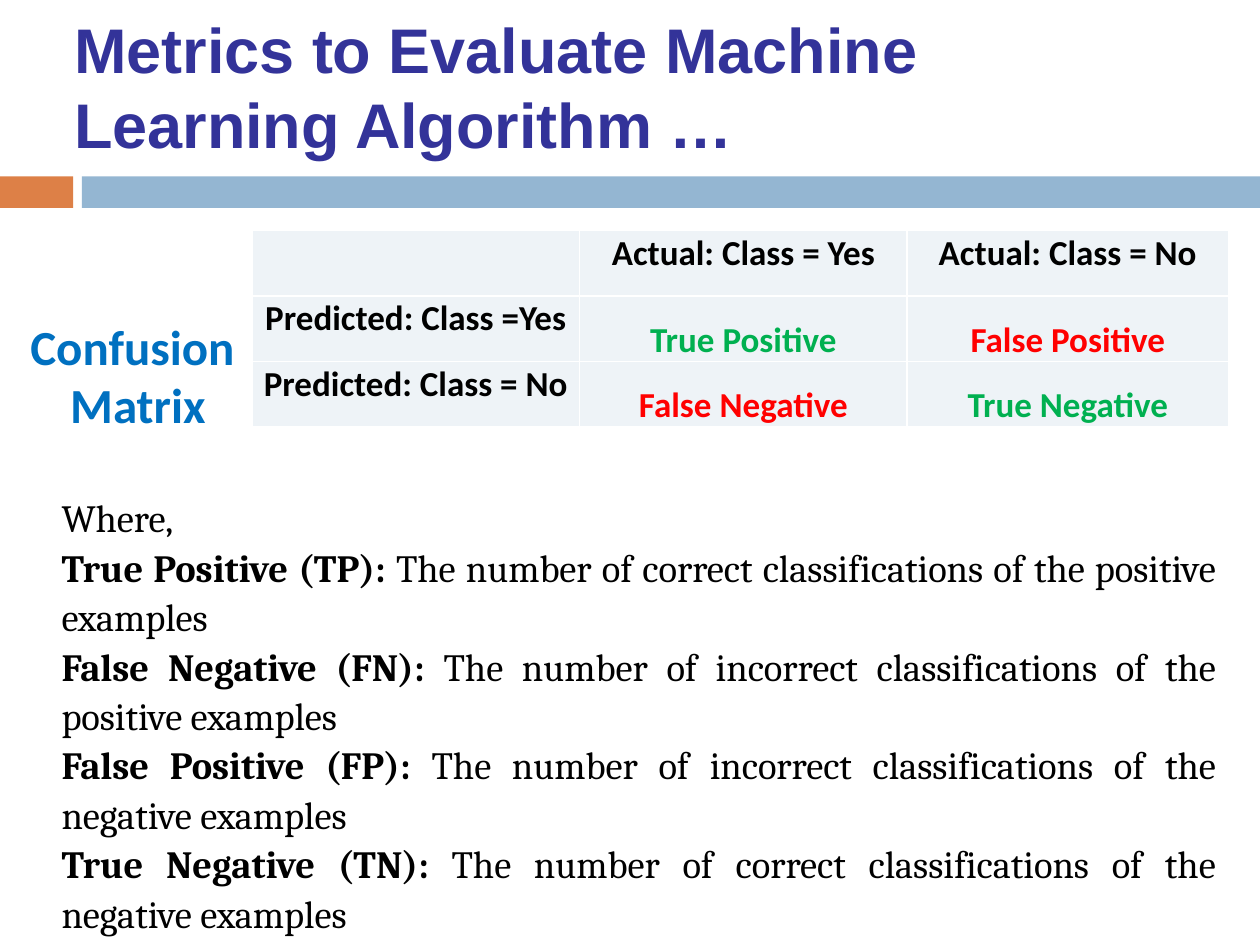
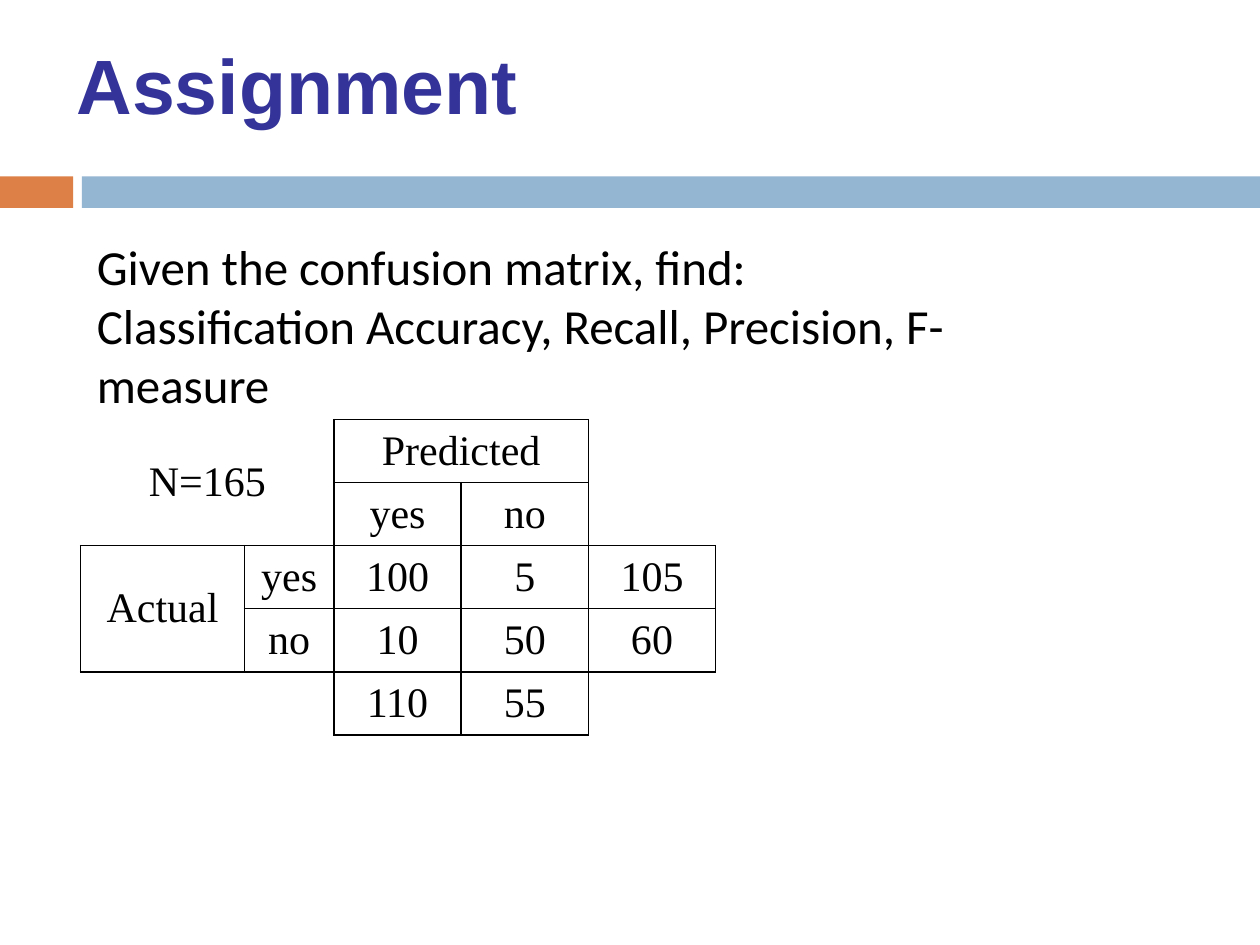
from lxml.etree import SubElement
from pptx import Presentation
from pptx.dml.color import RGBColor
from pptx.enum.shapes import MSO_SHAPE as Shape
from pptx.enum.text import MSO_ANCHOR as Anchor, PP_ALIGN as Align
from pptx.oxml.ns import qn
from pptx.util import Inches, Pt

WIDE, HIGH = Inches(10), Inches(7.5)
BLACK, WHITE = "000000", "FFFFFF"
NAVY, BLUE, SKY, RUST, PALE = "333399", "0070C0", "94B6D2", "DD8047", "EEF3F7"
GREEN, RED = "00B050", "FF0000"
SANS, HEAD, BOOK, ROMAN = "Calibri", "Arial", "Cambria", "Times New Roman"

TERMS = [
    ("True Positive (TP):", "correct", "positive"),
    ("False Negative (FN):", "incorrect", "positive"),
    ("False Positive (FP):", "incorrect", "negative"),
    ("True Negative (TN):", "correct", "negative"),
]
CLASSES = [
    ["", "Actual: Class = Yes", "Actual: Class = No"],
    ["Predicted: Class =Yes", "True Positive", "False Positive"],
    ["Predicted: Class = No", "False Negative", "True Negative"],
]
COUNTS = [
    ["N=165", "", "Predicted", "", ""],
    ["", "", "yes", "no", ""],
    ["Actual", "yes", "100", "5", "105"],
    ["", "no", "10", "50", "60"],
    ["", "", "110", "55", ""],
]


def color(code):
    return RGBColor.from_string(code)


def across(share):
    """Percent of the slide's width."""
    return round(WIDE * share / 100)


def down(share):
    """Percent of the slide's height."""
    return round(HIGH * share / 100)


def place(x, y, w, h):
    return across(x), down(y), across(w), down(h)


def style(run, face, size, tint=BLACK, bold=False):
    font = run.font
    font.name, font.size, font.bold = face, Pt(size), bold
    font.color.rgb = color(tint)


def write(slide, area, lines, face, size, tint=BLACK, bold=False,
          align=Align.LEFT, anchor=Anchor.TOP, wrap=True, pitch=1.0):
    """Text box; a line given as a pair has a bold lead and a plain rest."""
    frame = slide.shapes.add_textbox(*place(*area)).text_frame
    frame.word_wrap, frame.vertical_anchor = wrap, anchor
    for i, line in enumerate(lines):
        para = frame.add_paragraph() if i else frame.paragraphs[0]
        para.alignment, para.line_spacing = align, pitch
        lead, rest = (line, "") if isinstance(line, str) else line
        para.text = lead
        style(para.runs[0], face, size, tint, bold or bool(rest))
        if rest:
            run = para.add_run()
            run.text = rest
            style(run, face, size, tint)


def band(slide, area, tint):
    bar = slide.shapes.add_shape(Shape.RECTANGLE, *place(*area))
    bar.shadow.inherit = False
    bar.fill.solid()
    bar.fill.fore_color.rgb = color(tint)
    bar.line.fill.background()


def start(deck, title, area, size):
    """New slide with the shared bands and title style."""
    slide = deck.slides.add_slide(deck.slide_layouts[6])
    band(slide, (0, 18.67, 5.8, 3.33), RUST)
    band(slide, (6.5, 18.67, 93.5, 3.33), SKY)
    write(slide, area, [title], HEAD, size, NAVY, True, anchor=Anchor.BOTTOM)
    return slide


def edge(cell, side, tint):
    """One cell border, hidden when there is no tint."""
    line = SubElement(cell._tc.get_or_add_tcPr(), qn("a:ln" + side), w=str(Pt(1)))
    if tint:
        fill = SubElement(line, qn("a:solidFill"))
        SubElement(fill, qn("a:srgbClr"), val=tint)
    else:
        SubElement(line, qn("a:noFill"))


def grid(slide, x, y, cols, high, data, rule, spans=(), boxed=None):
    """Table of equal rows; an edge shows where a boxed cell touches it."""
    count = len(data)
    table = slide.shapes.add_table(
        count, len(cols), *place(x, y, sum(cols), high * count)).table
    table.first_row = table.horz_banding = False
    for col, width in zip(table.columns, cols):
        col.width = across(width)
    for row in table.rows:
        row.height = down(high)
    for top, left, end, right in spans:
        table.cell(top, left).merge(table.cell(end, right))

    def inked(r, c):
        inside = 0 <= r < count and 0 <= c < len(cols)
        return inside and (boxed is None or boxed(r, c))

    for r, row in enumerate(data):
        for c, text in enumerate(row):
            cell = table.cell(r, c)
            near = {"L": (r, c - 1), "R": (r, c + cell.span_width),
                    "T": (r - 1, c), "B": (r + cell.span_height, c)}
            for side, spot in near.items():
                edge(cell, side, rule if inked(r, c) or inked(*spot) else None)
            cell.fill.background()
            if text:
                cell.text_frame.text = text
                cell.text_frame.paragraphs[0].alignment = Align.CENTER
    return table


def cells(table):
    """Each cell with its row, column and runs."""
    for r in range(len(table.rows)):
        for c in range(len(table.columns)):
            cell = table.cell(r, c)
            yield r, c, cell, cell.text_frame.paragraphs[0].runs


def metrics(deck):
    slide = start(deck, "Metrics to Evaluate Machine Learning Algorithm …",
                  (4.9, 0, 90, 17.73), 36)
    write(slide, (1.1, 32.8, 19.7, 13.87), ["Confusion ", "Matrix"], SANS, 28,
          BLUE, True, Align.CENTER, wrap=False)

    # Definitions
    notes = [(term, f" The number of {kind} classifications of the {sign} examples")
             for term, kind, sign in TERMS]
    write(slide, (3.9, 51.33, 93.6, 48.67), ["Where,"] + notes, BOOK, 22,
          align=Align.JUSTIFY, pitch=1.07)

    # Confusion matrix: outcomes sit low, right ones green and wrong ones red
    table = grid(slide, 20, 24.4, (26, 26, 25.5), 6.93, CLASSES, WHITE)
    for r, c, cell, runs in cells(table):
        cell.fill.solid()
        cell.fill.fore_color.rgb = color(PALE)
        cell.margin_left = cell.margin_right = cell.margin_top = Inches(0.01)
        cell.margin_bottom = 0
        tint = BLACK
        if r and c:
            cell.vertical_anchor = Anchor.BOTTOM
            tint = GREEN if r == c else RED
        for run in runs:
            style(run, SANS, 20, tint, True)


def task(deck):
    slide = start(deck, "Assignment", (5.1, 2.27, 92.4, 12.13), 44)
    write(slide, (6.7, 24.4, 81.8, 13.87),
          ["Given the confusion matrix, find:",
           "Classification Accuracy, Recall, Precision, F-measure"], SANS, 28)

    # Counts: the boxed cells form a cross
    table = grid(slide, 6.4, 44.4, (13, 7.1, 10.1, 10.1, 10.1), 6.67, COUNTS, BLACK,
                 spans=[(0, 0, 1, 1), (0, 2, 0, 3), (2, 0, 3, 0)],
                 boxed=lambda r, c: r in (2, 3) or c in (2, 3))
    for _, _, cell, runs in cells(table):
        cell.vertical_anchor = Anchor.MIDDLE
        for run in runs:
            style(run, ROMAN, 24)


def main():
    deck = Presentation()
    deck.slide_width, deck.slide_height = WIDE, HIGH
    metrics(deck)
    task(deck)
    deck.save("out.pptx")


if __name__ == "__main__":
    main()
